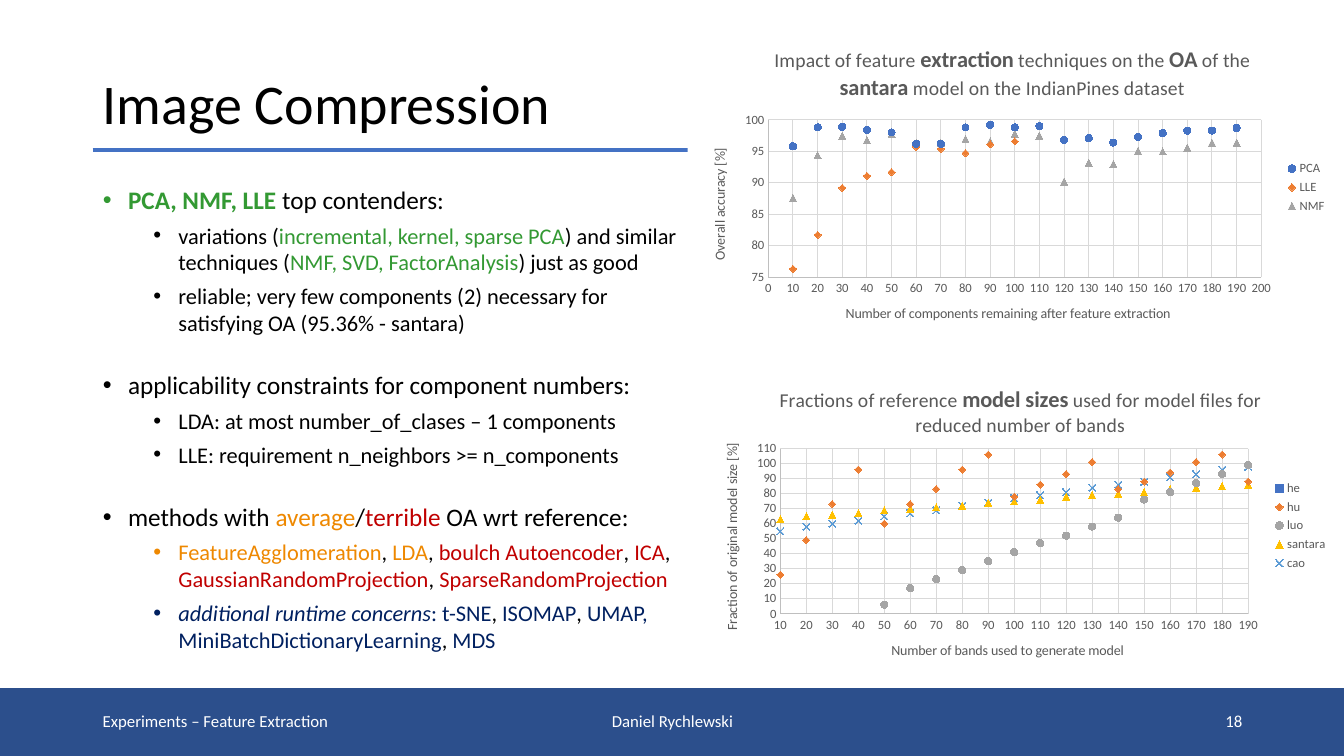
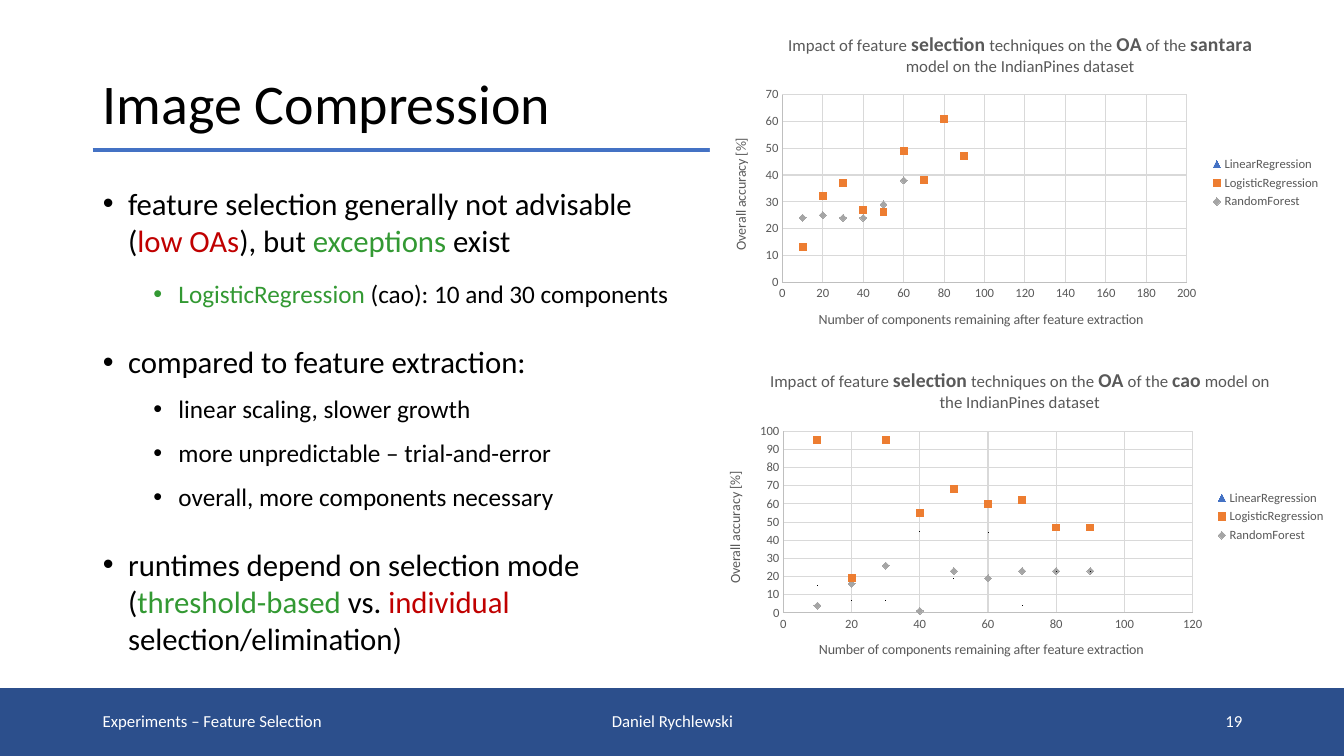
from dataclasses import dataclass

from lxml import etree
from pptx import Presentation
from pptx import util as u
from pptx.chart.data import XyChartData
from pptx.dml.color import RGBColor
from pptx.enum import chart as ch, shapes, text
from pptx.oxml import parse_xml
from pptx.oxml.ns import nsdecls, qn

Inches, Pt = u.Inches, u.Pt
MARK = ch.XL_MARKER_STYLE


@dataclass(frozen=True)
class Theme:
    font: str = "Calibri"
    white: str = "FFFFFF"
    black: str = "000000"
    band: str = "2C4F8C"
    blue: str = "4472C4"
    orange: str = "ED7D31"
    gray: str = "A5A5A5"
    yellow: str = "FFC000"
    sky: str = "5B9BD5"
    good: str = "339933"
    average: str = "EE8800"
    bad: str = "C00000"
    slow: str = "002060"
    label: str = "595959"
    axis: str = "BFBFBF"
    grid: str = "D9D9D9"
    title_size: int = 40
    footer_size: int = 12
    axis_title_size: int = 10
    tick_size: int = 9
    marker_size: int = 5


T = Theme()


@dataclass(frozen=True)
class Axis:
    title: str
    low: float
    high: float
    step: float


@dataclass(frozen=True)
class Dots:
    """A scatter series whose x values rise by ten from first."""
    name: str
    color: str
    marker: MARK
    values: tuple
    first: int = 10
    shown: bool = True


def style(font, size, color, bold=False, italic=False):
    font.name, font.size = T.font, Pt(size)
    font.bold, font.italic = bold, italic
    font.color.rgb = RGBColor.from_string(color)


def fill(target, color):
    target.solid()
    target.fore_color.rgb = RGBColor.from_string(color)


def stroke(line, color, width=0.75):
    fill(line.fill, color)
    line.width = Pt(width)


class Deck:
    def __init__(self):
        self.prs = Presentation()
        self.prs.slide_width, self.prs.slide_height = Inches(13.33), Inches(7.5)
        back = self.prs.slide_master.background.fill
        back.gradient()
        back.gradient_angle = 270
        for stop, color in zip(back.gradient_stops, (T.white, T.band)):
            stop.position = 0.91
            stop.color.rgb = RGBColor.from_string(color)
        self.s = None

    def place(self, sp, box):
        sp.left, sp.top, sp.width, sp.height = map(Inches, box)
        tf = sp.text_frame
        tf.word_wrap = True
        tf.auto_size = text.MSO_AUTO_SIZE.NONE
        tf.vertical_anchor = text.MSO_ANCHOR.TOP
        return tf

    def slide(self, title, section, number):
        self.s = self.prs.slides.add_slide(self.prs.slide_layouts[1])
        tf = self.place(self.s.shapes.title, (0.92, 0.3, 11.5, 1.04))
        tf.text = title
        p = tf.paragraphs[0]
        p.alignment = text.PP_ALIGN.LEFT
        p.line_spacing, p.space_before = 1.5, Pt(10)
        style(p.runs[0].font, T.title_size, T.black)

        rule = self.s.shapes.add_connector(
            shapes.MSO_CONNECTOR.STRAIGHT,
            Inches(0.92), Inches(1.49), Inches(12.42), Inches(1.49))
        stroke(rule.line, T.blue, 2.75)
        etree.SubElement(rule._element.spPr, qn("a:effectLst"))

        align = text.PP_ALIGN
        self.footer(section, 0.92, 3.63, align.LEFT)
        self.footer("Daniel Rychlewski", 4.42, 4.5, align.CENTER)
        self.footer(str(number), 9.42, 3, align.RIGHT)

    def footer(self, words, left, width, align):
        sp = self.s.shapes.add_textbox(0, 0, 0, 0)
        tf = self.place(sp, (left, 6.95, width, 0.4))
        tf.vertical_anchor = text.MSO_ANCHOR.MIDDLE
        tf.text = words
        p = tf.paragraphs[0]
        p.alignment = align
        style(p.runs[0].font, T.footer_size, T.white)

    def bullets(self, items, sizes, sub_spacing=1.0):
        """Each item is level, space before, space after and its runs."""
        tf = self.place(self.s.placeholders[1], (0.92, 1.78, 6.05, 4.98))
        for i, (level, before, after, runs) in enumerate(items):
            p = tf.add_paragraph() if i else tf.paragraphs[0]
            p.level = level
            p.space_before, p.space_after = Pt(before), Pt(after)
            p.line_spacing = sub_spacing if level else 1.0
            pPr = p._p.get_or_add_pPr()
            pPr.set("marL", str(Inches(0.25 + 0.5 * level)))
            pPr.set("indent", str(Inches(-0.25)))
            etree.SubElement(pPr, qn("a:buChar")).set("char", "•")
            for run in runs:
                words, color, look = (run, T.black, "") if isinstance(run, str) else (*run, "")[:3]
                r = p.add_run()
                r.text = words
                style(r.font, sizes[level], color, look == "bold", look == "italic")

    def scatter(self, box, plot, title, size, x_axis, y_axis, series):
        """Odd parts of the title, split at *, are bold; plot is the inner plot box."""
        data = XyChartData()
        for dots in series:
            entry = data.add_series(dots.name)
            for i, value in enumerate(dots.values):
                entry.add_data_point(dots.first + 10 * i, value)
        chart = self.s.shapes.add_chart(
            ch.XL_CHART_TYPE.XY_SCATTER, *map(Inches, box), data).chart
        style(chart.font, T.axis_title_size, T.black)
        chart.plots[0].vary_by_categories = False

        chart.has_title = True
        p = chart.chart_title.text_frame.paragraphs[0]
        for i, words in enumerate(title.split("*")):
            r = p.add_run()
            r.text = words
            style(r.font, size + 2 * (i % 2), T.label, bold=i % 2 == 1)
        chart.chart_title.include_in_layout = False

        chart.has_legend = True
        chart.legend.position = ch.XL_LEGEND_POSITION.RIGHT
        chart.legend.include_in_layout = False
        style(chart.legend.font, T.tick_size, T.label)

        self.axis(chart.category_axis, x_axis)
        self.axis(chart.value_axis, y_axis, rotation=-5400000)
        for line, dots in zip(chart.plots[0].series, series):
            self.markers(line, dots)
        self.frame(chart, box, plot)

    def axis(self, axis, spec, rotation=0):
        axis.minimum_scale, axis.maximum_scale = spec.low, spec.high
        axis.major_unit = spec.step
        axis.major_tick_mark = axis.minor_tick_mark = ch.XL_TICK_MARK.NONE
        axis.has_major_gridlines = True
        stroke(axis.major_gridlines.format.line, T.grid)
        stroke(axis.format.line, T.axis)
        style(axis.tick_labels.font, T.tick_size, T.label)
        axis.tick_labels.number_format = "0"
        axis.tick_labels.number_format_is_linked = False
        tf = axis.axis_title.text_frame
        tf.text = spec.title
        tf._txBody.bodyPr.set("rot", str(rotation))
        style(tf.paragraphs[0].runs[0].font, T.axis_title_size, T.label)

    def markers(self, line, dots):
        line.format.line.fill.background()
        line.marker.style, line.marker.size = dots.marker, T.marker_size
        look = line.marker.format
        stroke(look.line, dots.color)
        if dots.marker == MARK.X:
            look.fill.background()
        else:
            fill(look.fill, dots.color)
        if not dots.shown:
            for i in range(len(dots.values)):
                line.points[i].marker.style = MARK.NONE

    def frame(self, chart, box, plot):
        """Give the chart a white ground and fix its inner plot area."""
        root = chart.element.find(qn("c:chart"))
        root.addnext(parse_xml(
            f'<c:spPr {nsdecls("c", "a")}><a:solidFill><a:srgbClr val="{T.white}"/>'
            '</a:solidFill><a:ln><a:noFill/></a:ln></c:spPr>'))
        area = root.find(qn("c:plotArea"))
        for old in area.findall(qn("c:layout")):
            area.remove(old)
        left, top, width, height = box
        parts = {"x": (plot[0] - left) / width, "y": (plot[1] - top) / height,
                 "w": plot[2] / width, "h": plot[3] / height}
        modes = '<c:layoutTarget val="inner"/><c:xMode val="edge"/><c:yMode val="edge"/>'
        sizes = "".join(f'<c:{k} val="{v:.4f}"/>' for k, v in parts.items())
        area.insert(0, parse_xml(
            f'<c:layout {nsdecls("c")}><c:manualLayout>{modes}{sizes}'
            '</c:manualLayout></c:layout>'))


def extraction(deck):
    deck.slide("Image Compression", "Experiments – Feature Extraction", 18)
    deck.bullets([
        (0, 10, 0, [("PCA, NMF, LLE ", T.good, "bold"), "top contenders:"]),
        (1, 5, 0, ["variations (", ("incremental, kernel, sparse PCA", T.good),
                   ") and similar techniques (", ("NMF, SVD, FactorAnalysis", T.good),
                   ") just as good"]),
        (1, 5, 0, ["reliable; very few components (2) necessary for "
                   "satisfying OA (95.36% - santara)"]),
        (0, 24, 0, ["applicability constraints for component numbers:"]),
        (1, 5, 0, ["LDA: at most number_of_clases – 1 components"]),
        (1, 5, 0, ["LLE: requirement n_neighbors >= n_components"]),
        (0, 24, 0, ["methods with ", ("average", T.average), "/",
                    ("terrible ", T.bad), "OA wrt reference:"]),
        (1, 5, 0, [("FeatureAgglomeration", T.average), ", ", ("LDA", T.average), ", ",
                   ("boulch Autoencoder", T.bad), ", ", ("ICA", T.bad), ", ",
                   ("GaussianRandomProjection", T.bad), ", ",
                   ("SparseRandomProjection", T.bad)]),
        (1, 5, 0, [("additional runtime concerns", T.slow, "italic"), (": t-SNE", T.slow),
                   ", ", ("ISOMAP", T.slow), ", ",
                   ("UMAP, MiniBatchDictionaryLearning", T.slow), ", ", ("MDS", T.slow)]),
    ], sizes=(18, 16))
    deck.scatter(
        (6.82, 0.3, 6.44, 3.12), (7.62, 1.19, 4.89, 1.56),
        "Impact of feature *extraction* techniques on the *OA* of the *santara* "
        "model on the IndianPines dataset", 14,
        Axis("Number of components remaining after feature extraction", 0, 200, 10),
        Axis("Overall accuracy [%]", 75, 100, 5),
        [Dots("PCA", T.blue, MARK.CIRCLE,
              (95.8, 98.8, 98.9, 98.4, 98, 96.2, 96.2, 98.8, 99.2, 98.8, 99, 96.8, 97.1,
               96.4, 97.3, 97.9, 98.3, 98.3, 98.7)),
         Dots("LLE", T.orange, MARK.DIAMOND,
              (76.3, 81.7, 89.2, 91.1, 91.7, 95.7, 95.4, 94.7, 96.1, 96.6)),
         Dots("NMF", T.gray, MARK.TRIANGLE,
              (87.6, 94.4, 97.5, 96.8, 97.8, 96.3, 96.3, 97, 96.6, 97.8, 97.5, 90.2, 93.2,
               93, 95.1, 95, 95.6, 96.4, 96.4))])
    deck.scatter(
        (6.97, 3.67, 6.3, 3.09), (7.74, 4.45, 4.64, 1.64),
        "Fractions of reference *model sizes* used for model files for "
        "reduced number of bands", 14,
        Axis("Number of bands used to generate model", 10, 190, 10),
        Axis("Fraction of original model size [%]", 0, 110, 10),
        [Dots("he", T.blue, MARK.SQUARE,
              (9, 13, 18, 24, 28, 33, 39, 44, 48, 54, 59, 63, 70, 74, 79, 85, 89, 94),
              first=20, shown=False),
         Dots("hu", T.orange, MARK.DIAMOND,
              (26, 49, 73, 96, 60, 73, 83, 96, 106, 78, 86, 93, 101, 83, 88, 94, 101, 106, 88)),
         Dots("luo", T.gray, MARK.CIRCLE,
              (6, 17, 23, 29, 35, 41, 47, 52, 58, 64, 76, 81, 87, 93, 99), first=50),
         Dots("santara", T.yellow, MARK.TRIANGLE,
              (63, 65, 66, 67, 69, 70, 71, 72, 74, 75, 76, 78, 79, 80, 81, 83, 84, 85, 86)),
         Dots("cao", T.sky, MARK.X,
              (55, 58, 60, 62, 65, 67, 69, 72, 74, 77, 79, 81, 84, 86, 88, 91, 93, 96, 98))])


def selection(deck):
    deck.slide("Image Compression", "Experiments – Feature Selection", 19)
    deck.bullets([
        (0, 10, 12, ["feature selection generally not advisable (", ("low OAs", T.bad),
                     "), but ", ("exceptions ", T.good), "exist"]),
        (1, 5, 12, [("LogisticRegression", T.good), " (cao): 10 and 30 components"]),
        (0, 12, 0, ["compared to feature extraction:"]),
        (1, 12, 0, ["linear scaling, slower growth"]),
        (1, 12, 0, ["more unpredictable – trial-and-error"]),
        (1, 12, 12, ["overall, more components necessary"]),
        (0, 12, 0, ["runtimes depend on selection mode (", ("threshold-based", T.good),
                    " vs. ", ("individual ", T.bad), "selection/elimination)"]),
    ], sizes=(22, 18), sub_spacing=0.9)
    charts = [
        ("santara", (7.04, 0.15, 6.16, 3.33), (7.76, 0.94, 4.01, 1.86), 200, 70,
         (48, 37, 37, 45, 32, 34), (13, 32, 37, 27, 26, 49, 38, 61, 47),
         (24, 25, 24, 24, 29, 38)),
        ("cao", (6.98, 3.49, 6.27, 3.27), (7.77, 4.28, 4.06, 1.8), 120, 100,
         (15, 7, 7, 45, 19, 44, 4, 23, 23), (95, 19, 95, 55, 68, 60, 62, 47, 47),
         (4, 16, 26, 1, 23, 19, 23, 23, 23)),
    ]
    for model, box, plot, x_max, y_max, linear, logistic, forest in charts:
        deck.scatter(
            box, plot,
            f"Impact of feature *selection* techniques on the *OA* of the *{model}* "
            "model on the IndianPines dataset", 12,
            Axis("Number of components remaining after feature extraction", 0, x_max, 20),
            Axis("Overall accuracy [%]", 0, y_max, 10),
            [Dots("LinearRegression", T.blue, MARK.TRIANGLE, linear, shown=False),
             Dots("LogisticRegression", T.orange, MARK.SQUARE, logistic),
             Dots("RandomForest", T.gray, MARK.DIAMOND, forest)])


def main():
    deck = Deck()
    extraction(deck)
    selection(deck)
    deck.prs.save("out.pptx")


if __name__ == "__main__":
    main()
